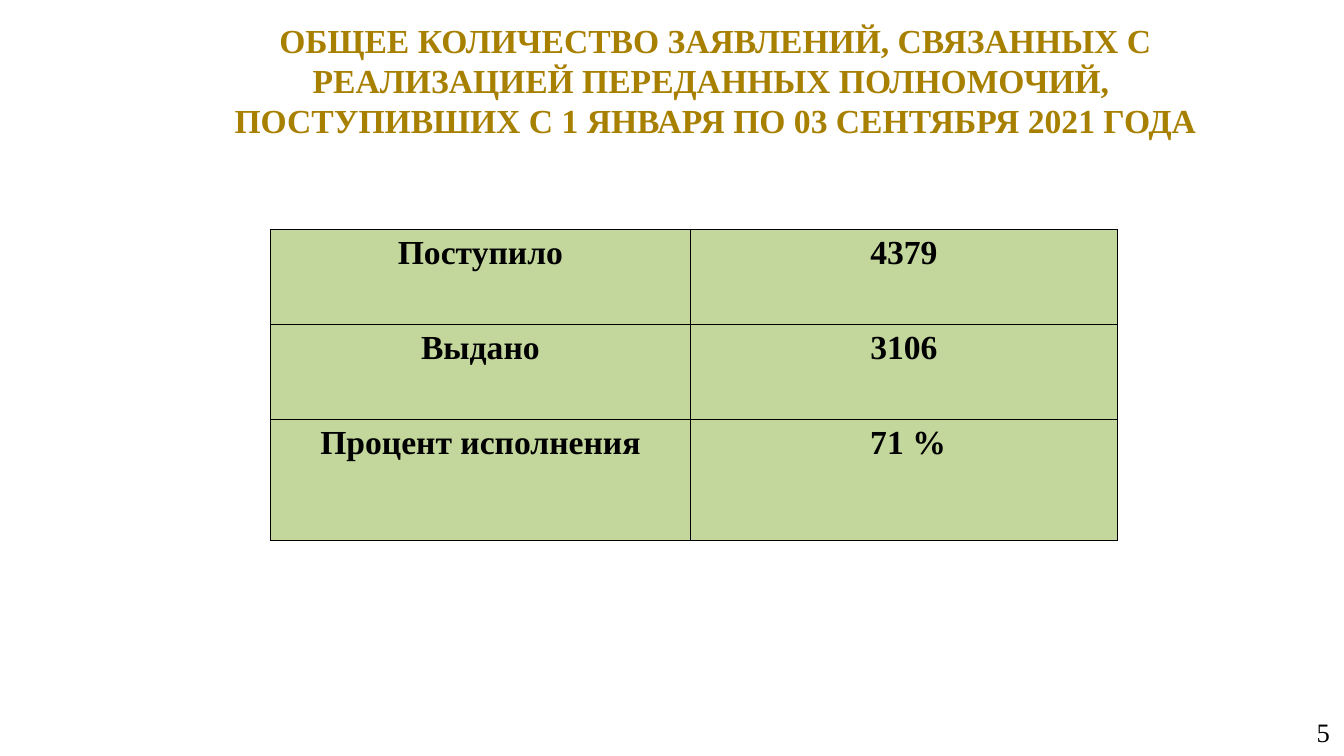
"""Build the slide that sums up the applications received in 2021."""
from dataclasses import dataclass

import pptx
import pptx.dml.color
import pptx.enum.text
import pptx.oxml
import pptx.oxml.ns
import pptx.util

PX = 9144
FACE = "Times New Roman"
HUES = {"gold": "A88000", "green": "C3D69B", "black": "000000"}
ALIGN = pptx.enum.text.PP_ALIGN
ANCHOR = pptx.enum.text.MSO_ANCHOR


@dataclass
class Style:
    size: int
    hue: str
    bold: bool
    align: ALIGN


@dataclass
class Box:
    left: int
    top: int
    width: int
    height: int

    def emu(self) -> list[int]:
        return [n * PX for n in (self.left, self.top, self.width, self.height)]


@dataclass
class Row:
    label: str
    value: str
    height: int


HEAD = Style(24, "gold", True, ALIGN.CENTER)
BODY = Style(24, "black", True, ALIGN.CENTER)
PAGE = Style(19, "black", False, ALIGN.RIGHT)
COLS = (417, 423)
ROWS = (
    Row("Поступило", "4379", 94),
    Row("Выдано", "3106", 94),
    Row("Процент исполнения", " 71 %", 120),
)
TITLE = (
    "ОБЩЕЕ КОЛИЧЕСТВО ЗАЯВЛЕНИЙ, СВЯЗАННЫХ С РЕАЛИЗАЦИЕЙ ПЕРЕДАННЫХ ПОЛНОМОЧИЙ, \v"
    "ПОСТУПИВШИХ С 1 ЯНВАРЯ ПО 03 СЕНТЯБРЯ 2021 ГОДА"
)


def pad(item, side: int, edge: int) -> None:
    item.margin_left = item.margin_right = side * PX
    item.margin_top = item.margin_bottom = edge * PX


def write(frame, text: str, style: Style) -> None:
    frame.text = text
    for para in frame.paragraphs:
        para.alignment = style.align
        font = para.font
        font.name = FACE
        font.size = pptx.util.Pt(style.size)
        font.bold = style.bold
        font.color.rgb = pptx.dml.color.RGBColor.from_string(HUES[style.hue])


def label(shape, box: Box, text: str, style: Style) -> None:
    shape.left, shape.top, shape.width, shape.height = box.emu()
    frame = shape.text_frame
    frame.auto_size = pptx.enum.text.MSO_AUTO_SIZE.NONE
    frame.word_wrap = True
    frame.vertical_anchor = ANCHOR.MIDDLE
    pad(frame, 13, 7)
    write(frame, text, style)


def border(cell) -> None:
    props = cell._tc.get_or_add_tcPr()
    space = pptx.oxml.ns.nsdecls("a")
    for side in "LRTB":
        props.append(pptx.oxml.parse_xml(
            f'<a:ln{side} {space} w="12192"><a:solidFill>'
            f'<a:srgbClr val="{HUES["black"]}"/></a:solidFill></a:ln{side}>'
        ))


def fill(cell, text: str) -> None:
    pad(cell, 13, 5)
    cell.vertical_anchor = ANCHOR.TOP
    border(cell)
    cell.fill.solid()
    cell.fill.fore_color.rgb = pptx.dml.color.RGBColor.from_string(HUES["green"])
    write(cell.text_frame, text, BODY)


def grid(slide, left: int, top: int) -> None:
    box = Box(left, top, sum(COLS), sum(row.height for row in ROWS))
    table = slide.shapes.add_table(len(ROWS), len(COLS), *box.emu()).table
    table.first_row = table.horz_banding = False
    for col, width in zip(table.columns, COLS):
        col.width = width * PX
    for i, row in enumerate(ROWS):
        table.rows[i].height = row.height * PX
        for j, text in enumerate((row.label, row.value)):
            fill(table.cell(i, j), text)


def main() -> None:
    deck = pptx.Presentation()
    deck.slide_width, deck.slide_height = 1333 * PX, 750 * PX
    slide = deck.slides.add_slide(deck.slide_layouts[5])
    label(slide.shapes.title, Box(138, 30, 1143, 99), TITLE, HEAD)
    page = Box(1022, 707, 310, 39)
    label(slide.shapes.add_textbox(*page.emu()), page, "5", PAGE)
    grid(slide, 268, 228)
    deck.save("out.pptx")


if __name__ == "__main__":
    main()
